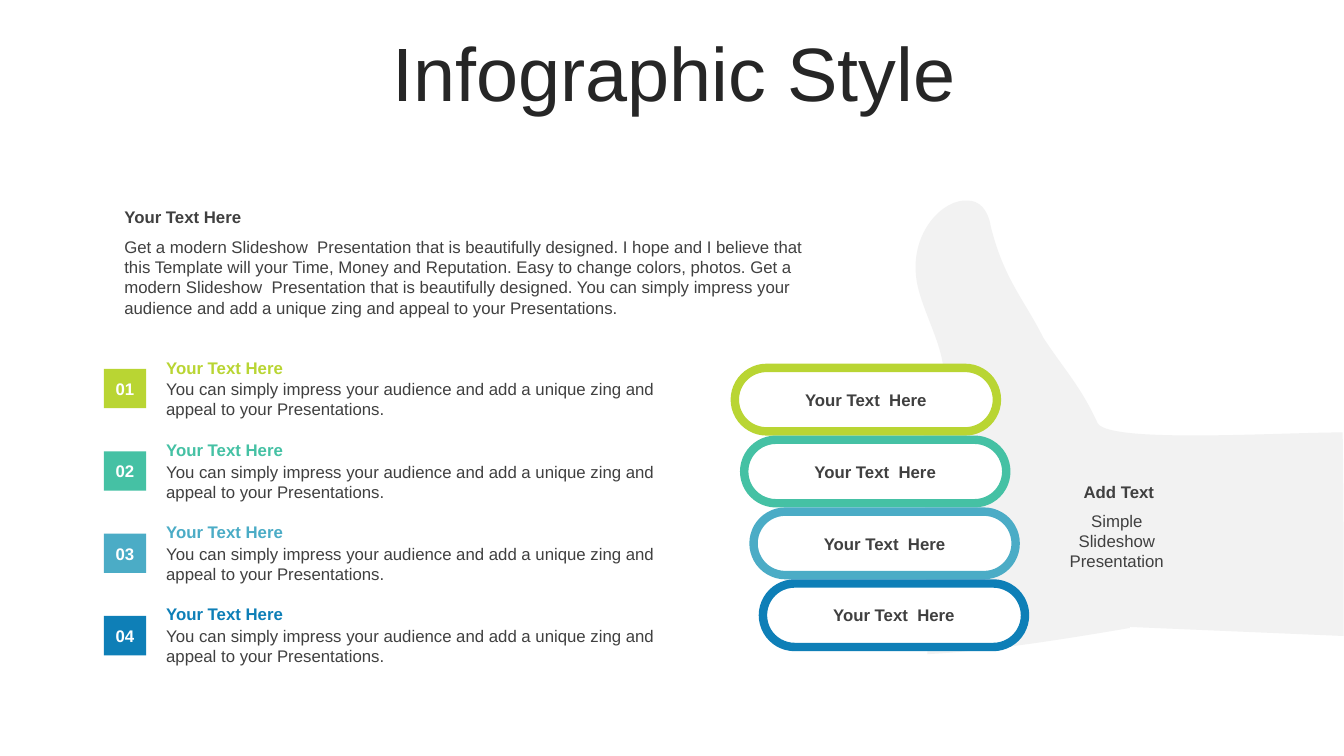
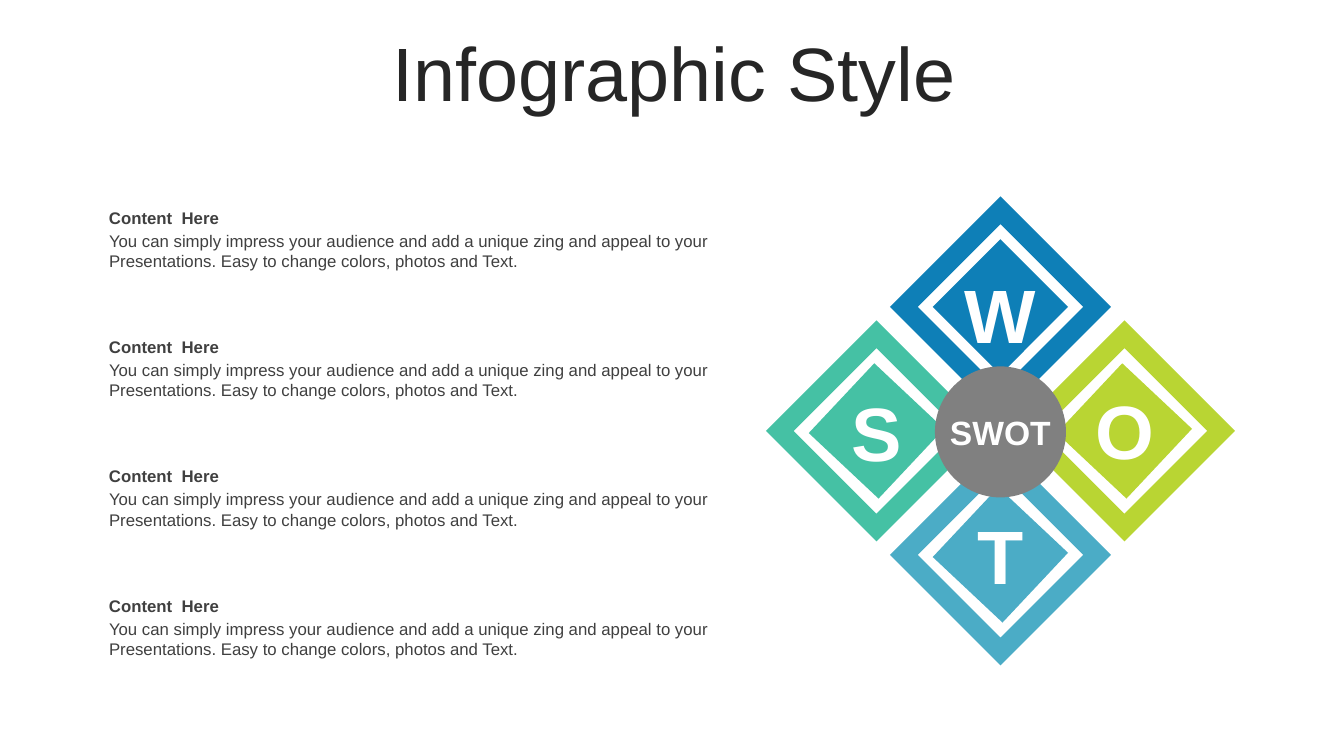
from dataclasses import dataclass

import lxml.etree
import pptx
import pptx.dml.color
import pptx.enum.shapes
import pptx.enum.text
import pptx.oxml.ns
import pptx.shapes.autoshape
import pptx.slide
import pptx.util

Shape = pptx.shapes.autoshape.Shape
Slide = pptx.slide.Slide
PRESET = pptx.enum.shapes.MSO_SHAPE
ALIGN = pptx.enum.text.PP_ALIGN
ANCHOR = pptx.enum.text.MSO_ANCHOR

# Shared style: a square grid of tenths of an inch
CELL = pptx.util.Inches(0.1)
SLIDE_COLUMNS, SLIDE_ROWS = 133.33, 75
FONT = "Arial"
COLOURS = {
    "lime": "B9D533", "green": "45C1A4", "sky": "4BACC6", "blue": "0E7FB7",
    "title": "262626", "body": "404040", "hub": "808080",
    "hand": "F2F2F2", "white": "FFFFFF",
}
SERIES = ("lime", "green", "sky", "blue")


@dataclass(frozen=True)
class Box:
    """A rectangle in grid columns and rows."""
    column: float
    row: float
    columns: float
    rows: float

    @classmethod
    def around(cls, column: float, row: float, columns: float, rows: float) -> "Box":
        return cls(column - columns / 2, row - rows / 2, columns, rows)

    def shifted(self, columns: float, rows: float) -> "Box":
        return Box(self.column + columns, self.row + rows, self.columns, self.rows)

    def emu(self) -> tuple[int, ...]:
        return tuple(cells(v) for v in (self.column, self.row, self.columns, self.rows))


@dataclass(frozen=True)
class TextStyle:
    size: float = 12
    colour: str = "body"
    bold: bool = False
    align: ALIGN = ALIGN.LEFT
    anchor: ANCHOR = ANCHOR.TOP


@dataclass(frozen=True)
class Diamond:
    letter: str
    colour: str
    across: int
    down: int
    turn: float
    letter_drop: float


BODY = TextStyle()
HEADING = TextStyle(bold=True)
CENTRED = TextStyle(align=ALIGN.CENTER)
LABEL = TextStyle(bold=True, align=ALIGN.CENTER, anchor=ANCHOR.MIDDLE)
NUMBER = TextStyle(12, "white", True, ALIGN.CENTER, ANCHOR.MIDDLE)
LETTER = TextStyle(54, "white", True, ALIGN.CENTER)
HUB = TextStyle(24, "white", True, ALIGN.CENTER, ANCHOR.MIDDLE)
TITLE = TextStyle(54, "title", False, ALIGN.CENTER, ANCHOR.MIDDLE)


def cells(count: float) -> int:
    return round(count * CELL)


def colour_of(name: str) -> pptx.dml.color.RGBColor:
    return pptx.dml.color.RGBColor.from_string(COLOURS[name])


def write(holder: Shape, wording: str, style: TextStyle) -> None:
    frame = holder.text_frame
    frame.text = wording
    frame.word_wrap = True
    frame.vertical_anchor = style.anchor
    for paragraph in frame.paragraphs:
        paragraph.alignment = style.align
        for run in paragraph.runs:
            run.font.name = FONT
            run.font.size = pptx.util.Pt(style.size)
            run.font.bold = style.bold
            run.font.color.rgb = colour_of(style.colour)


def add_text(slide: Slide, box: Box, wording: str, style: TextStyle = BODY) -> Shape:
    holder = slide.shapes.add_textbox(*box.emu())
    write(holder, wording, style)
    return holder


def paint(shape: Shape, fill: str, outline: str = "") -> None:
    shape.shadow.inherit = False
    shape.fill.solid()
    shape.fill.fore_color.rgb = colour_of(fill)
    if outline:
        shape.line.color.rgb = colour_of(outline)
        shape.line.width = pptx.util.Pt(6)
    else:
        shape.line.fill.background()


def add_preset(slide: Slide, preset: PRESET, box: Box, fill: str,
               outline: str = "", turn: float = 0) -> Shape:
    shape = slide.shapes.add_shape(preset, *box.emu())
    paint(shape, fill, outline)
    shape.rotation = turn
    return shape


def add_titled_slide(deck, wording: str) -> Slide:
    slide = deck.slides.add_slide(deck.slide_layouts[6])
    title = add_text(slide, Box(3.6, 3.7, 126.6, 7.9), wording, TITLE)
    paragraph = title.text_frame.paragraphs[0]
    paragraph.line_spacing = 0.9
    paragraph.space_before = pptx.util.Pt(10)
    return slide


# Thumb-up hand: two numbers make a corner, six make a Bézier curve
HAND_START = (96, 19.9)
HAND_OUTLINE = (
    (97.1, 19.9, 98, 20.7, 98.3, 22.5),
    (99.6, 27.7, 101.6, 29.7, 103.5, 33.5),
    (105.6, 36.7, 107.2, 38.3, 108.9, 42),
    (110.1, 44, 126.9, 42.9, 133.2, 42.9),
    (133.3, 49.6, 133.3, 56.4, 133.3, 63.1),
    (112.1, 62.2),
    (112.1, 62.3),
    (103.3, 63.8, 97.7, 64.6, 92, 64.9),
    (91.6, 39.6),
    (93.3, 38.6, 92.2, 39.4, 93.5, 38),
    (94.2, 35.1, 91.3, 30.8, 90.9, 27.6),
    (90.3, 23, 93.6, 19.7, 96, 19.9),
)


def add_hand(slide: Slide) -> None:
    ends = [(cells(s[-2]), cells(s[-1])) for s in HAND_OUTLINE]
    builder = slide.shapes.build_freeform(cells(HAND_START[0]), cells(HAND_START[1]), scale=1.0)
    builder.add_line_segments(ends, close=True)
    hand = builder.convert_to_shape()
    paint(hand, "hand")

    # Bend the straight segments into curves by adding their control points
    qn = pptx.oxml.ns.qn
    sides = list(hand.element.iter(qn("a:lnTo")))
    for side, segment in zip(sides, HAND_OUTLINE):
        if len(segment) == 2:
            continue
        side_end = side[0]
        curve = lxml.etree.SubElement(side.getparent(), qn("a:cubicBezTo"))
        for column, row in (segment[:2], segment[2:4]):
            control = lxml.etree.SubElement(curve, qn("a:pt"))
            control.set("x", str(cells(column) - hand.left))
            control.set("y", str(cells(row) - hand.top))
        curve.append(side_end)
        side.getparent().replace(side, curve)


INTRO = (
    "Get a modern Slideshow  Presentation that is beautifully designed. "
    "I hope and I believe that this Template will your Time, Money and Reputation. "
    "Easy to change colors, photos. Get a modern Slideshow  Presentation that is "
    "beautifully designed. You can simply impress your audience and add a unique "
    "zing and appeal to your Presentations."
)
PITCH = ("You can simply impress your audience and add a unique zing "
         "and appeal to your Presentations.")


def build_hand_slide(deck) -> None:
    slide = add_titled_slide(deck, "Infographic Style")
    add_hand(slide)

    # Fingers and the numbered list beside them
    for index, colour in enumerate(SERIES):
        finger = add_preset(slide, PRESET.ROUNDED_RECTANGLE,
                            Box(72.9, 36.5, 26, 6.3).shifted(0.93 * index, 7.13 * index),
                            "white", colour)
        finger.adjustments[0] = 0.5
        write(finger, "Your Text  Here", LABEL)

        drop = 8.17 * index
        add_text(slide, Box(15.5, 37.1, 51.3, 5).shifted(0, drop), PITCH)
        add_text(slide, Box(15.5, 35, 51.3, 3).shifted(0, 8.12 * index),
                 "Your Text Here", TextStyle(colour=colour, bold=True))
        badge = add_preset(slide, PRESET.RECTANGLE,
                           Box(10.3, 36.6, 4.2, 3.9).shifted(0, drop), colour)
        badge.text_frame.margin_left = badge.text_frame.margin_right = 0
        write(badge, f"{index + 1:02d}", NUMBER)

    # Note on the wrist
    add_text(slide, Box(104, 47.25, 14, 3), "Add Text",
             TextStyle(bold=True, align=ALIGN.CENTER))
    add_text(slide, Box(103.8, 50.15, 14, 7.1), "Simple Slideshow Presentation", CENTRED)

    # Introduction
    add_text(slide, Box(11.35, 23, 71.5, 9.1), INTRO)
    add_text(slide, Box(11.35, 20, 71.5, 3), "Your Text Here", HEADING)


SWOT_COLUMN, SWOT_ROW, SWOT_REACH = 99.25, 42.75, 12.3
DIAMONDS = (
    Diamond("S", "green", -1, 0, 313.2, 0.1),
    Diamond("W", "blue", 0, -1, 315, 0.7),
    Diamond("O", "lime", 1, 0, 313.2, -0.1),
    Diamond("T", "sky", 0, 1, 313.2, 0),
)


def build_swot_slide(deck) -> None:
    slide = add_titled_slide(deck, "Infographic Style")

    # Four content blocks
    for index in range(4):
        drop = 12.82 * index
        add_text(slide, Box(9.83, 20.1, 62, 3).shifted(0, drop), "Content  Here",
                 TextStyle(bold=True, anchor=ANCHOR.MIDDLE))
        add_text(slide, Box(9.83, 22.4, 61.9, 5).shifted(0, drop),
                 PITCH + " Easy to change colors, photos and Text.")

    # Diamonds around the hub
    for diamond in DIAMONDS:
        centre = (SWOT_COLUMN + SWOT_REACH * diamond.across,
                  SWOT_ROW + SWOT_REACH * diamond.down)
        add_preset(slide, PRESET.RECTANGLE, Box.around(*centre, 9.5, 9.5),
                   diamond.colour, turn=diamond.turn)
        add_preset(slide, PRESET.FRAME, Box.around(*centre, 15.5, 15.5),
                   diamond.colour, turn=45)
        add_text(slide, Box.around(*centre, 11.8, 10.1).shifted(0, diamond.letter_drop),
                 diamond.letter, LETTER)

    hub = add_preset(slide, PRESET.OVAL,
                     Box.around(SWOT_COLUMN, SWOT_ROW + 0.1, 13, 13), "hub")
    write(hub, "SWOT", HUB)
    hub.text_frame.word_wrap = False


def main() -> None:
    deck = pptx.Presentation()
    deck.slide_width = cells(SLIDE_COLUMNS)
    deck.slide_height = cells(SLIDE_ROWS)
    build_hand_slide(deck)
    build_swot_slide(deck)
    deck.save("out.pptx")


if __name__ == "__main__":
    main()
